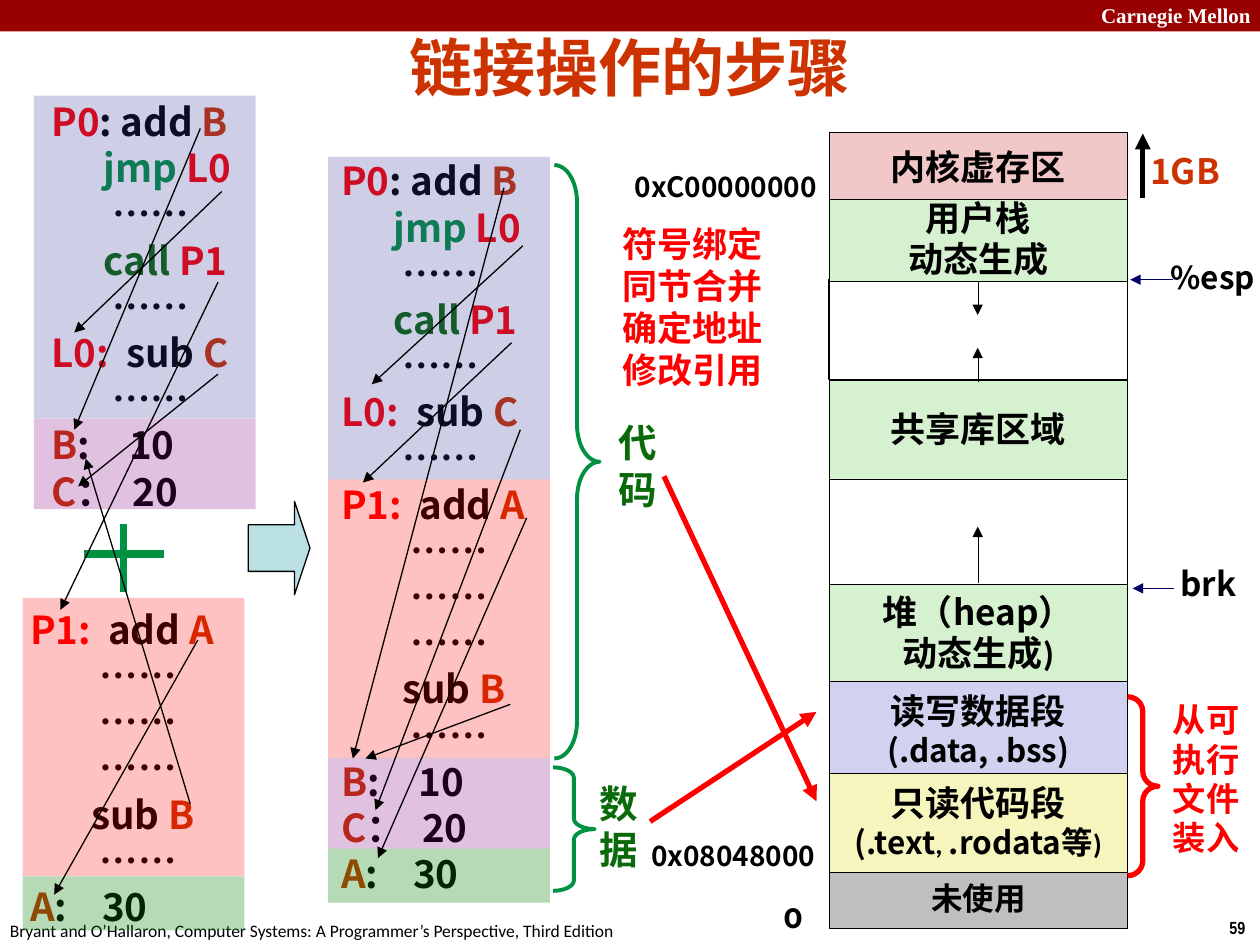
from lxml import etree
from pptx import Presentation, util as u
from pptx.dml.color import RGBColor
from pptx.enum import shapes, text
from pptx.oxml.ns import qn

# The slide is a grid of 100 columns by 75 rows; all lengths are in cells
COLS, ROWS = 100, 75
CELL = u.Inches(0.1)

C = dict(black="000000", white="FFFFFF", red="FF0000", rust="CC3300",
         green="009242", dark="0A6A0A", navy="000066", bar="990000",
         block="BBE0E3", pink="F1C7C7", mint="D5F1CF", lilac="D1D1F0",
         cream="F6F5BD", gray="BFBFBF", indigo="333399", purple="800080",
         leaf="008000")
CJK, NARROW, CAL = "Noto Sans CJK SC", "Arial Narrow", "Calibri"

# Program listings: one list of (text, colour, optional size, font, bold) per line
DOTS7 = [("       ……", "black")]
DOTS8 = [("        ……", "black")]
CODE0 = [
    [("P0", "red"), (": add ", "black"), ("B", "rust")],
    [("      jmp ", "green"), ("L0", "red")],
    DOTS7,
    [("      call ", "dark"), ("P1", "red")],
    DOTS7,
    [("L0:  ", "red"), ("sub ", "black"), ("C", "rust")],
    DOTS7,
]
CODE1 = [
    [("P1:  ", "red"), ("add ", "black"), ("A", "rust")],
    DOTS8, DOTS8, DOTS8,
    [("       sub ", "black"), ("B", "rust")],
    DOTS8,
]
DATA0 = [
    [("B", "rust"), (":  ", "black"), ("   ", "black", 18, NARROW, False),
     ("10", "black")],
    [("C", "rust"), ("：  20", "black")],
]
DATA1 = [[("A", "rust"), (":    30", "black")]]

# Section: lines, tint, opacity in percent, height
SECTIONS = dict(code0=(CODE0, "indigo", 24, 25.6), code1=(CODE1, "red", 24, 22.1),
                data0=(DATA0, "purple", 24, 7.2), data1=(DATA1, "leaf", 29, 4.3))
BAND_W = 17.6
# Module: text box (left, top, width, height), band left, band top, sections
MERGED = ((26.1, 12, 20.5, 59.6), 26.05, 12.45, ["code0", "code1", "data0", "data1"])
MODULE1 = ((1.4, 47.6, 19, 26.6), 1.8, 47.45, ["code1", "data1"])
MODULE0 = ((3.1, 7.3, 20.5, 34), 2.7, 7.6, ["code0", "data0"])

# Memory map: top, height, fill, line width, lines of (text, size, font)
MAP_X, MAP_W = 65.8, 23.7
MEMORY = [
    (22.2, 7.9, "white", 0.75, []),
    (10.5, 5.7, "pink", 0.25, [[("内核虚存区", 20, CJK)]]),
    (30.2, 7.8, "mint", 0.25, [[("共享库区域", 20, CJK)]]),
    (38, 8.4, "white", 0.25, []),
    (46.4, 7.8, "mint", 0.25, [[("堆（heap）", 20, CJK)],
                               [("动态生成", 20, CJK), (")", 20, CAL)]]),
    (15.8, 6.5, "mint", 0.25, [[("用户栈", 20, CJK)], [("动态生成", 20, CAL)]]),
    (69.1, 4.6, "gray", 0.25, [[("未使用", 18, CJK)]]),
    (54.1, 7.8, "lilac", 0.25, [[("读写数据段", 20, CJK)],
                                [("(.data, .bss)", 18, CJK)]]),
    (61.4, 7.8, "cream", 0.25, [[("只读代码段", 20, CJK)],
                                [("(.text", 18, CJK), (", ", 16, CAL),
                                 (".rodata等", 18, CJK), (")", 16, CAL)]]),
]

# Labels: text, box, size, font, colour, line spacing, wrap, side inset
MAP_LABELS = [
    ("%esp", (92.9, 20.2, 7.1, 3.8), 18, CJK, "black", 0.94, False, 0),
    ("brk", (92.7, 44.5, 6.4, 4), 19, CJK, "black", 0.94, False, 1),
    ("0xC00000000", (49.4, 13.2, 17.1, 3.5), 16, CJK, "black", 0.94, False, 1),
    ("0x08048000", (50.7, 66.3, 15.6, 3.5), 16, CJK, "black", 0.94, False, 1),
    ("0", (61.2, 71.1, 3.5, 3.6), 16, "Montserrat", "black", 0.98, False, 1),
    ("从可执行文件装入", (93.1, 55.2, 5.6, 13.4), 19, CAL, "red", 0.98, True, 0),
    ("1GB", (91.3, 11.4, 6, 4.3), 20, CJK, "rust", None, True, 0),
]
PART_LABELS = [
    ("代码", (48.1, 32.8, 5.2, 8.3), 22, NARROW, "dark", None, True, 1),
    ("数据", (46.6, 61.4, 7, 8.3), 22, NARROW, "dark", None, True, 1),
]
STEPS = ["符号绑定", "同节合并", "确定地址", "修改引用"]

# Braces: box, bend, colour, line width
PART_BRACES = [((44, 13.1, 3.6, 47.1), 0.82, "green", 2.25),
               ((43.9, 60.9, 3.3, 9.8), 0.25, "green", 2.25)]
LOAD_BRACE = ((89.5, 55.3, 2.4, 14.2), 0.49, "red", 3)

# Lines: x1, y1, x2, y2
MERGED_REFS = [(40, 14.9, 28, 60.2), (40.5, 55.9, 29, 60.2), (41.8, 41.1, 30, 68.1),
               (41.3, 34.1, 29.8, 64.3), (41.5, 19.5, 29.5, 30.5),
               (40.6, 27.2, 28.8, 38.3)]
MODULE_REFS = [(17.3, 22.4, 4.8, 48.4), (15.9, 10.2, 5.9, 34.1),
               (17.6, 15.2, 5.9, 26.4), (17.3, 29.7, 6.2, 38.6),
               (15.7, 50.8, 4.3, 71), (15.1, 63.8, 6.8, 36.4)]
PLUS = [(6.7, 44, 13, 44), (9.8, 41.6, 9.8, 47)]
POINTERS = [(93.1, 22.2, 89.7, 22.2), (93.2, 46.7, 89.9, 46.7)]
GROWTH = [(77.6, 46.3, 77.6, 41.8), (77.6, 30.3, 77.6, 27.6), (77.6, 22.3, 77.6, 25)]
KERNEL_SIZE = [(90.7, 15.7, 90.7, 10.6)]
LOADING = [(52.7, 37.8, 64.8, 63.6), (51.6, 65.2, 64.8, 56.5)]

prs = Presentation()
prs.slide_width, prs.slide_height = COLS * CELL, ROWS * CELL
s = prs.slides.add_slide(prs.slide_layouts[6])


def cells(values):
    return [round(v * CELL) for v in values]


def rgb(name):
    return RGBColor.from_string(C[name])


def write(tf, lines, align=None, spacing=None):
    """Fill a frame; each line is a list of (text, colour, size, font, bold)."""
    for i, line in enumerate(lines):
        p = tf.paragraphs[0] if i == 0 else tf.add_paragraph()
        p.alignment, p.line_spacing = align, spacing
        for words, colour, size, font, bold in line:
            r = p.add_run()
            r.text = words
            r.font.size, r.font.name, r.font.bold = u.Pt(size), font, bold
            r.font.color.rgb = rgb(colour)
            etree.SubElement(r._r.get_or_add_rPr(), qn("a:ea")).set("typeface", CJK)


def box(at, lines, wrap=True, inset=1, align=None, spacing=None):
    tf = s.shapes.add_textbox(*cells(at)).text_frame
    tf.word_wrap = wrap
    tf.margin_left = tf.margin_right = inset * CELL
    write(tf, lines, align, spacing)
    return tf


def shape(kind, at, fill=None, line=None, width=0.75, alpha=None):
    sp = s.shapes.add_shape(kind, *cells(at))
    sp.shadow.inherit = False
    if fill:
        sp.fill.solid()
        sp.fill.fore_color.rgb = rgb(fill)
    else:
        sp.fill.background()
    if alpha:
        clr = sp.fill._xPr.find(".//" + qn("a:srgbClr"))
        etree.SubElement(clr, qn("a:alpha")).set("val", str(alpha * 1000))
    if line:
        sp.line.color.rgb, sp.line.width = rgb(line), u.Pt(width)
    else:
        sp.line.fill.background()
    return sp


def lines(ends, colour, width, arrow=True):
    for end in ends:
        cn = s.shapes.add_connector(shapes.MSO_CONNECTOR.STRAIGHT, *cells(end))
        cn.line.color.rgb, cn.line.width = rgb(colour), u.Pt(width)
        if arrow:
            etree.SubElement(cn.line._get_or_add_ln(), qn("a:tailEnd")).set("type", "triangle")
        etree.SubElement(cn._element.spPr, qn("a:effectLst"))


def brace(at, bend, colour, width):
    sp = shape(shapes.MSO_SHAPE.RIGHT_BRACE, at, None, colour, width)
    sp.adjustments[0] = bend


def label(words, at, size, font, colour, spacing, wrap, inset):
    box(at, [[(words, colour, size, font, True)]], wrap, inset, spacing=spacing)


def module(at, left, top, names):
    """Listing text with its tinted sections stacked over it."""
    box(at, [[run + (22, CJK, True) if len(run) == 2 else run for run in line]
             for name in names for line in SECTIONS[name][0]])
    for name in names:
        _, tint, alpha, height = SECTIONS[name]
        shape(RECT, (left, top, BAND_W, height), tint, alpha=alpha)
        top += height


RECT = shapes.MSO_SHAPE.RECTANGLE
CENTER = text.PP_ALIGN.CENTER

# Header, footer and title
shape(RECT, (0, 0, COLS, 2.5), "bar")
box((86.4, -0.3, 14.3, 3), [[("Carnegie Mellon", "white", 12, "Times New Roman", True)]])
box((96.6, 72.3, 3.4, 2.7), [[("59", "black", 10, NARROW, True)]], False)
box((-0.2, 72.5, 50.8, 2.7), [[(
    "Bryant and O’Hallaron, Computer Systems: A Programmer’s Perspective, Third Edition",
    "black", 10, CAL, False)]], False)
title = box((5, 2.2, 90, 6.1), [[("链接操作的步骤", "rust", 36, "Arial", True)]], align=CENTER)
title.vertical_anchor = text.MSO_ANCHOR.MIDDLE

# Modules before and after linking
block = shape(shapes.MSO_SHAPE.RIGHT_ARROW, (19.7, 39.8, 4.9, 7.4), "block", "black")
block.adjustments[1] = 0.25
for b in PART_BRACES:
    brace(*b)
for item in PART_LABELS:
    label(*item)
module(*MERGED)
lines(MERGED_REFS, "black", 0.75)
module(*MODULE1)
module(*MODULE0)
lines(PLUS, "green", 4.5, arrow=False)

# Memory map
for top, height, fill, width, rows in MEMORY:
    tf = shape(RECT, (MAP_X, top, MAP_W, height), fill, "black", width).text_frame
    tf.word_wrap, tf.vertical_anchor = False, text.MSO_ANCHOR.MIDDLE
    write(tf, [[(t, "black", size, font, True) for t, size, font in row] for row in rows],
          CENTER, 0.98)
lines(GROWTH, "black", 0.25)
lines(KERNEL_SIZE, "black", 3)
lines(POINTERS, "navy", 0.25)
brace(*LOAD_BRACE)
for item in MAP_LABELS:
    label(*item)

# Loading arrows, module references and linking steps
lines(LOADING, "red", 3)
lines(MODULE_REFS, "black", 0.75)
box((48.4, 17.2, 14.3, 14.3), [[(step, "red", 20, NARROW, True)] for step in STEPS])

prs.save("out.pptx")
